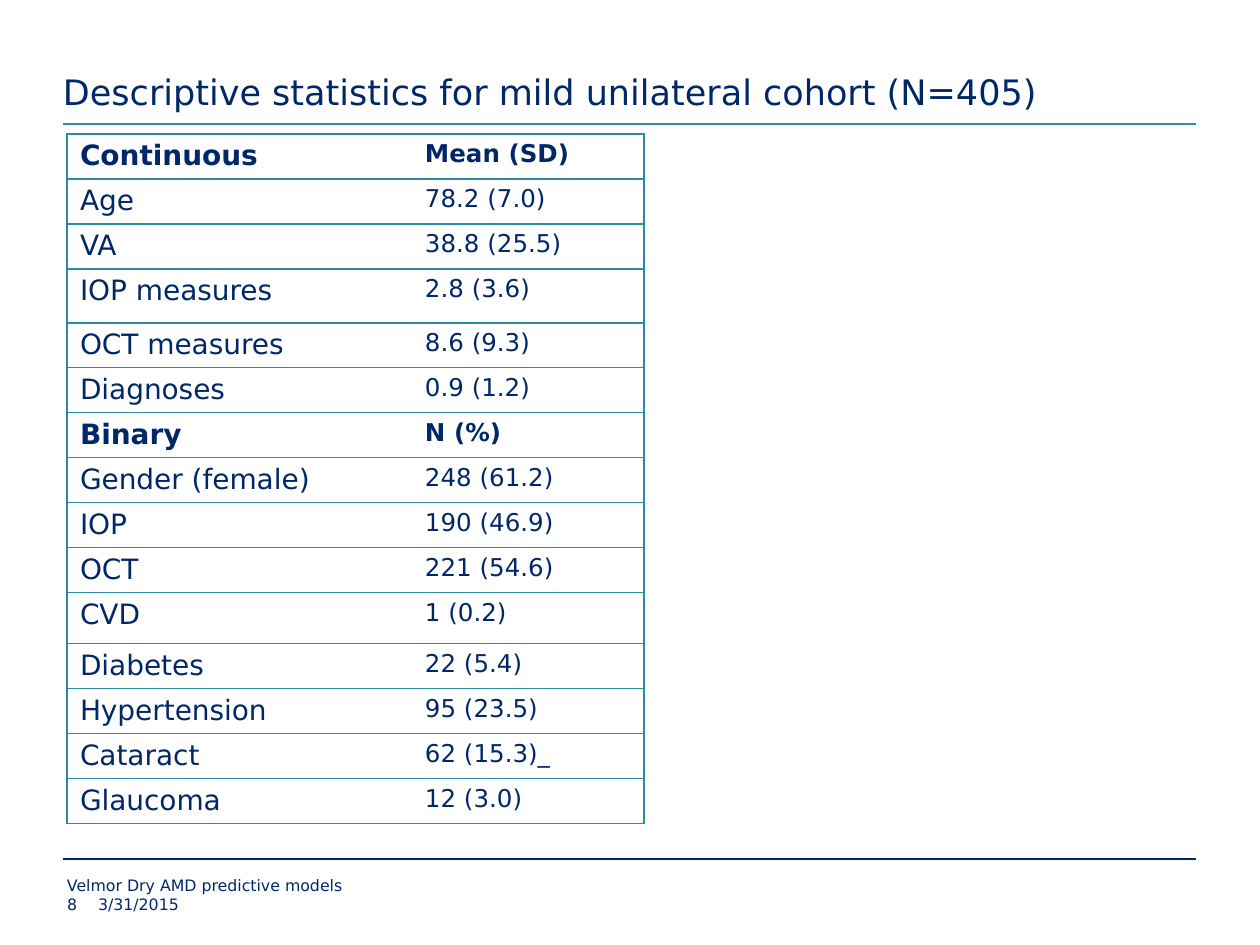
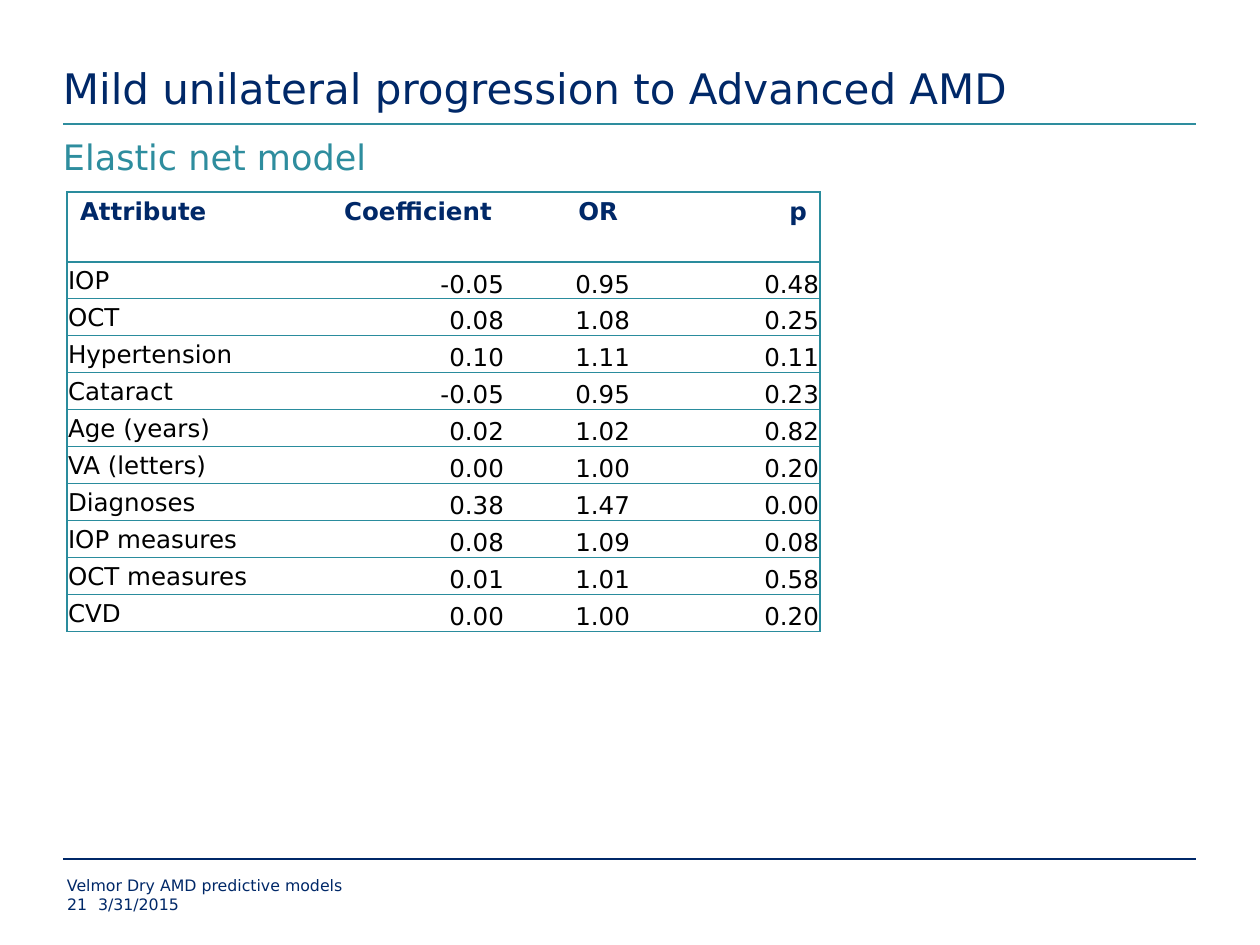
"""Build two slides of tables on a mild unilateral cohort."""
from lxml.etree import SubElement as Sub
from pptx import Presentation
from pptx.dml.color import RGBColor as RGB
from pptx.enum.shapes import MSO_CONNECTOR as Conn
from pptx.enum.text import MSO_ANCHOR as Anchor, PP_ALIGN as Align
from pptx.oxml.ns import qn
from pptx.util import Emu, Pt

NAVY = RGB(0x00, 0x28, 0x68)
TEAL = RGB(0x2E, 0x8D, 0x9E)
EDGE = RGB(0x2A, 0x8C, 0x9D)
BLACK = RGB(0, 0, 0)
WHITE = RGB(255, 255, 255)
FONT = "DejaVu Sans"
PLAIN = "{2D5ABB26-0587-4C30-8999-92F81FD0307C}"


def px(num):
    return Emu(round(num * 914400 / 126))


def write(frame, text, size=9, color=NAVY, bold=False, align=Align.LEFT,
          anchor=Anchor.TOP, pad=(0, 0, 0, 0)):
    frame.word_wrap = True
    frame.vertical_anchor = anchor
    frame.margin_left, frame.margin_top, frame.margin_right, frame.margin_bottom = map(px, pad)
    para = frame.paragraphs[0]
    para.alignment = align
    run = para.add_run()
    run.text = text
    font = run.font
    font.name, font.size, font.bold = FONT, Pt(size), bold
    font.color.rgb = color


STATS = [
    ("Continuous", "Mean (SD)"),
    ("Age", "78.2 (7.0)"),
    ("VA", "38.8 (25.5)"),
    ("IOP measures", "2.8 (3.6)"),
    ("OCT measures", "8.6 (9.3)"),
    ("Diagnoses", "0.9 (1.2)"),
    ("Binary", "N (%)"),
    ("Gender (female)", "248 (61.2)"),
    ("IOP", "190 (46.9)"),
    ("OCT", "221 (54.6)"),
    ("CVD", "1 (0.2)"),
    ("Diabetes", "22 (5.4)"),
    ("Hypertension", "95 (23.5)"),
    ("Cataract", "62 (15.3)_"),
    ("Glaucoma", "12 (3.0)"),
]
MODEL = [
    ("Attribute", "Coefficient", "OR", "p"),
    ("IOP", "-0.05", "0.95", "0.48"),
    ("OCT", "0.08", "1.08", "0.25"),
    ("Hypertension", "0.10", "1.11", "0.11"),
    ("Cataract", "-0.05", "0.95", "0.23"),
    ("Age (years)", "0.02", "1.02", "0.82"),
    ("VA (letters)", "0.00", "1.00", "0.20"),
    ("Diagnoses", "0.38", "1.47", "0.00"),
    ("IOP measures", "0.08", "1.09", "0.08"),
    ("OCT measures", "0.01", "1.01", "0.58"),
    ("CVD", "0.00", "1.00", "0.20"),
]
TALL = {"IOP measures": 54, "CVD": 51}
SLIDES = [
    dict(title="Descriptive statistics for mild unilateral cohort (N=405)", size=20,
         page="8", sub=None, top=134, cols=(345, 232), data=STATS,
         rows=[TALL.get(row[0], 45) for row in STATS]),
    dict(title="Mild unilateral progression to Advanced AMD", size=24,
         page="21", sub="Elastic net model", top=192, cols=(259, 179, 126, 189), data=MODEL,
         rows=[70] + [37] * (len(MODEL) - 1)),
]

prs = Presentation()
prs.slide_width, prs.slide_height = px(1260), px(945)

for page in SLIDES:
    slide = prs.slides.add_slide(prs.slide_layouts[6])
    shapes = slide.shapes

    for y, color in ((124, TEAL), (859, NAVY)):
        rule = shapes.add_connector(Conn.STRAIGHT, px(63), px(y), px(1196), px(y))
        rule.line.color.rgb = color
        rule.line.width = Pt(1.5)
        Sub(rule.element.spPr, qn("a:effectLst"))

    texts = [
        (page["title"], (63, 0, 1134, 113), dict(size=page["size"], anchor=Anchor.BOTTOM)),
        ("3/31/2015", (98, 895, 914, 19), {}),
        ("Velmor Dry AMD predictive models", (67, 876, 945, 19), {}),
        (page["page"], (67, 895, 31, 19), {}),
    ]
    if page["sub"]:
        texts.append((page["sub"], (63, 136, 1134, 50), dict(size=20, color=TEAL)))
    for text, place, form in texts:
        write(shapes.add_textbox(*map(px, place)).text_frame, text, **form)

    data, cols, rows = page["data"], page["cols"], page["rows"]
    frame = shapes.add_table(len(rows), len(cols), px(67), px(page["top"]),
                             px(sum(cols)), px(sum(rows)))
    table = frame.table
    table.first_row = table.horz_banding = False
    table._tbl.tblPr.find(qn("a:tableStyleId")).text = PLAIN
    for col, wide in zip(table.columns, cols):
        col.width = px(wide)
    for row, high in zip(table.rows, rows):
        row.height = px(high)

    for r, line in enumerate(data):
        for c, text in enumerate(line):
            cell = table.cell(r, c)
            form = dict(size=14)
            pad, anchor = (13, 6, 13, 5), Anchor.TOP
            if data is STATS:
                form.update(size=14 if c else 16, bold=line[0] in ("Continuous", "Binary"))
            else:
                form.update(bold=r == 0, align=Align.RIGHT if c else Align.LEFT)
                if r:
                    form.update(color=BLACK)
                    pad, anchor = (1, 1, 1, 0), Anchor.BOTTOM if c else Anchor.MIDDLE
            write(cell.text_frame, text, **form)
            cell.vertical_anchor = anchor
            cell.margin_left, cell.margin_top, cell.margin_right, cell.margin_bottom = map(px, pad)

            props = cell._tc.get_or_add_tcPr()
            sides = ["L"] * (c == 0) + ["R"] * (c == len(cols) - 1) + ["T", "B"]
            for side in sides:
                edge = Sub(props, qn("a:ln" + side), w=str(Pt(0.75)))
                Sub(Sub(edge, qn("a:solidFill")), qn("a:srgbClr"), val=str(EDGE))
            if r:
                cell.fill.background()
            else:
                cell.fill.solid()
                cell.fill.fore_color.rgb = WHITE

prs.save("out.pptx")
